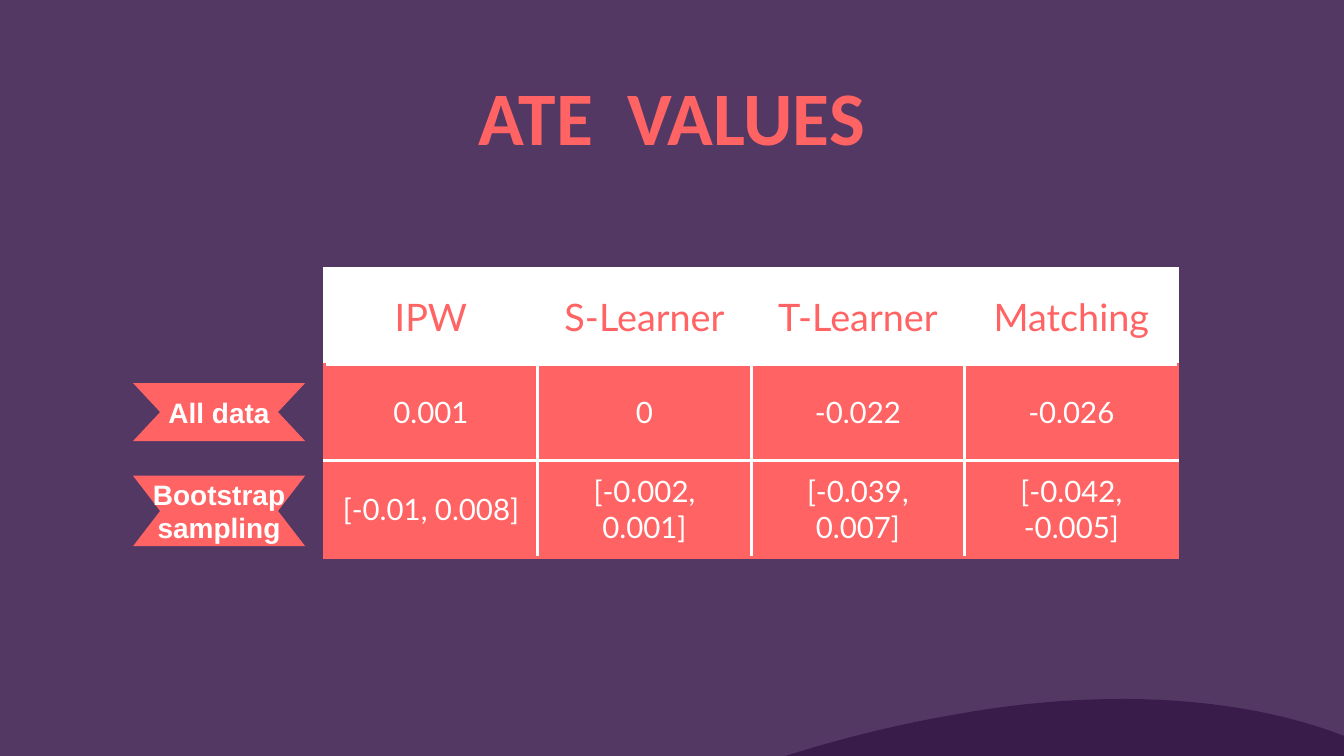
from dataclasses import dataclass

from lxml import etree
from pptx import Presentation
from pptx.dml.color import RGBColor
from pptx.enum.text import MSO_ANCHOR, MSO_AUTO_SIZE, PP_ALIGN
from pptx.oxml.ns import qn
from pptx.util import Pt

CENTER = PP_ALIGN.CENTER
MIDDLE = MSO_ANCHOR.MIDDLE
NO_FIT = MSO_AUTO_SIZE.NONE
TITLE_ONLY = 5
CURVE_STEPS = 24


@dataclass(frozen=True)
class Theme:
    """Colours, fonts and type sizes of the deck."""
    background: str = "543864"
    hill: str = "3A1C4B"
    accent: str = "FF6363"
    light: str = "FFFFFF"
    title_font: str = "Calibri"
    table_font: str = "Lato"
    label_font: str = "Arial"
    title_size: float = 54
    header_size: float = 27
    value_size: float = 21
    label_size: float = 20
    border: float = 2.25
    inset: float = 9.6


@dataclass(frozen=True)
class Ribbon:
    """A notched row label; lengths in points."""
    text: str
    top: float
    height: float
    left: float = 95
    width: float = 123
    notch: float = 19.4


THEME = Theme()
SLIDE_W, SLIDE_H = 960, 540
TITLE_BOX = (75, 56.9, 810, 50.4)
TABLE_LEFT, TABLE_TOP = 231.6, 192
COL_W, ROW_H = 152.5, 68.4

RIBBONS = [
    Ribbon("All data", 273.6, 41.5),
    Ribbon("Bootstrap sampling", 339.8, 50.4),
]
ATE_ROWS = [
    ["IPW", "S-Learner", "T-Learner", "Matching"],
    ["0.001", "0", "-0.022", "-0.026"],
    ["[-0.01, 0.008]", "[-0.002, 0.001]", "[-0.039, 0.007]", "[-0.042, -0.005]"],
]
HILL_CURVES = [
    [(561, 540), (602, 527), (643, 517), (685.5, 509.8)],
    [(685.5, 509.8), (778, 493.2), (880, 494.6), (960, 525.6)],
]


def rgb(color: str) -> RGBColor:
    """Turn a hex string into a colour."""
    return RGBColor.from_string(color)


def write(tf, text: str, *, font: str, size: float, color: str, bold: bool = False) -> None:
    """Put one centred, formatted paragraph in a text frame."""
    p = tf.paragraphs[0]
    p.alignment = CENTER
    r = p.add_run()
    r.text = text
    r.font.name = font
    r.font.size = Pt(size)
    r.font.bold = bold
    r.font.color.rgb = rgb(color)


def set_frame(tf) -> None:
    """Centre a shape's text vertically, with even insets and wrapping."""
    tf.auto_size = NO_FIT
    tf.word_wrap = True
    tf.vertical_anchor = MIDDLE
    set_insets(tf)


def set_insets(box) -> None:
    """Give a text frame or a cell the theme's insets."""
    box.margin_left = box.margin_right = Pt(THEME.inset)
    box.margin_top = box.margin_bottom = Pt(THEME.inset)


def bezier(curve: list, t: float) -> tuple:
    """Return the point at t on a cubic curve."""
    weights = ((1 - t) ** 3, 3 * t * (1 - t) ** 2, 3 * t * t * (1 - t), t ** 3)
    return tuple(sum(w * pt[i] for w, pt in zip(weights, curve)) for i in (0, 1))


def add_outline(slide, points: list, color: str):
    """Add a closed, filled outline through points given in points."""
    first, *rest = [(Pt(x), Pt(y)) for x, y in points]
    builder = slide.shapes.build_freeform(*first)
    builder.add_line_segments(rest, close=True)
    sp = builder.convert_to_shape()
    sp.shadow.inherit = False
    sp.fill.solid()
    sp.fill.fore_color.rgb = rgb(color)
    sp.line.fill.background()
    return sp


def add_hill(slide) -> None:
    """Draw the dark hill at the bottom right."""
    points = [bezier(curve, i / CURVE_STEPS)
              for curve in HILL_CURVES for i in range(CURVE_STEPS + 1)]
    add_outline(slide, points + [(SLIDE_W, SLIDE_H)], THEME.hill)


def add_ribbon(slide, ribbon: Ribbon) -> None:
    """Draw a row label as a ribbon notched at both ends."""
    left, right = ribbon.left, ribbon.left + ribbon.width
    top, bottom = ribbon.top, ribbon.top + ribbon.height
    mid = (top + bottom) / 2
    sp = add_outline(slide, [
        (left, top), (left + ribbon.notch, mid), (left, bottom),
        (right, bottom), (right - ribbon.notch, mid), (right, top),
    ], THEME.accent)
    set_frame(sp.text_frame)
    write(sp.text_frame, ribbon.text, font=THEME.label_font,
          size=THEME.label_size, color=THEME.light, bold=True)


def set_borders(cell, colors: dict) -> None:
    """Set cell borders from a map of side (L, R, T, B) to colour."""
    tc_pr = cell._tc.get_or_add_tcPr()
    for i, (side, color) in enumerate(colors.items()):
        ln = etree.Element(qn(f"a:ln{side}"), w=str(Pt(THEME.border)))
        fill = etree.SubElement(ln, qn("a:solidFill"))
        etree.SubElement(fill, qn("a:srgbClr"), val=color)
        tc_pr.insert(i, ln)


def add_ate_table(slide) -> None:
    """Draw the table: light header, accent body, light inner rules."""
    n_rows, n_cols = len(ATE_ROWS), len(ATE_ROWS[0])
    table = slide.shapes.add_table(
        n_rows, n_cols, Pt(TABLE_LEFT), Pt(TABLE_TOP),
        Pt(COL_W * n_cols), Pt(ROW_H * n_rows)).table
    table.first_row = table.horz_banding = False
    for col in table.columns:
        col.width = Pt(COL_W)
    for i, values in enumerate(ATE_ROWS):
        table.rows[i].height = Pt(ROW_H)
        header = i == 0
        fill, ink = (THEME.light, THEME.accent) if header else (THEME.accent, THEME.light)
        for j, value in enumerate(values):
            cell = table.cell(i, j)
            cell.fill.solid()
            cell.fill.fore_color.rgb = rgb(fill)
            cell.vertical_anchor = MIDDLE
            set_insets(cell)
            set_borders(cell, {
                "L": fill if j == 0 else THEME.light,
                "R": fill if j == n_cols - 1 else THEME.light,
                "T": THEME.light,
                "B": fill if i == n_rows - 1 else THEME.light,
            })
            write(cell.text_frame, value, font=THEME.table_font, color=ink,
                  size=THEME.header_size if header else THEME.value_size)


def add_title(slide, text: str) -> None:
    """Place and fill the title placeholder."""
    sp = slide.shapes.title
    sp.left, sp.top, sp.width, sp.height = map(Pt, TITLE_BOX)
    set_frame(sp.text_frame)
    write(sp.text_frame, text, font=THEME.title_font,
          size=THEME.title_size, color=THEME.accent, bold=True)


def main() -> None:
    """Build the slide and save it."""
    prs = Presentation()
    prs.slide_width, prs.slide_height = Pt(SLIDE_W), Pt(SLIDE_H)
    slide = prs.slides.add_slide(prs.slide_layouts[TITLE_ONLY])
    slide.background.fill.solid()
    slide.background.fill.fore_color.rgb = rgb(THEME.background)
    add_hill(slide)
    for ribbon in RIBBONS:
        add_ribbon(slide, ribbon)
    add_title(slide, "ATE  VALUES")
    add_ate_table(slide)
    prs.save("out.pptx")


main()
